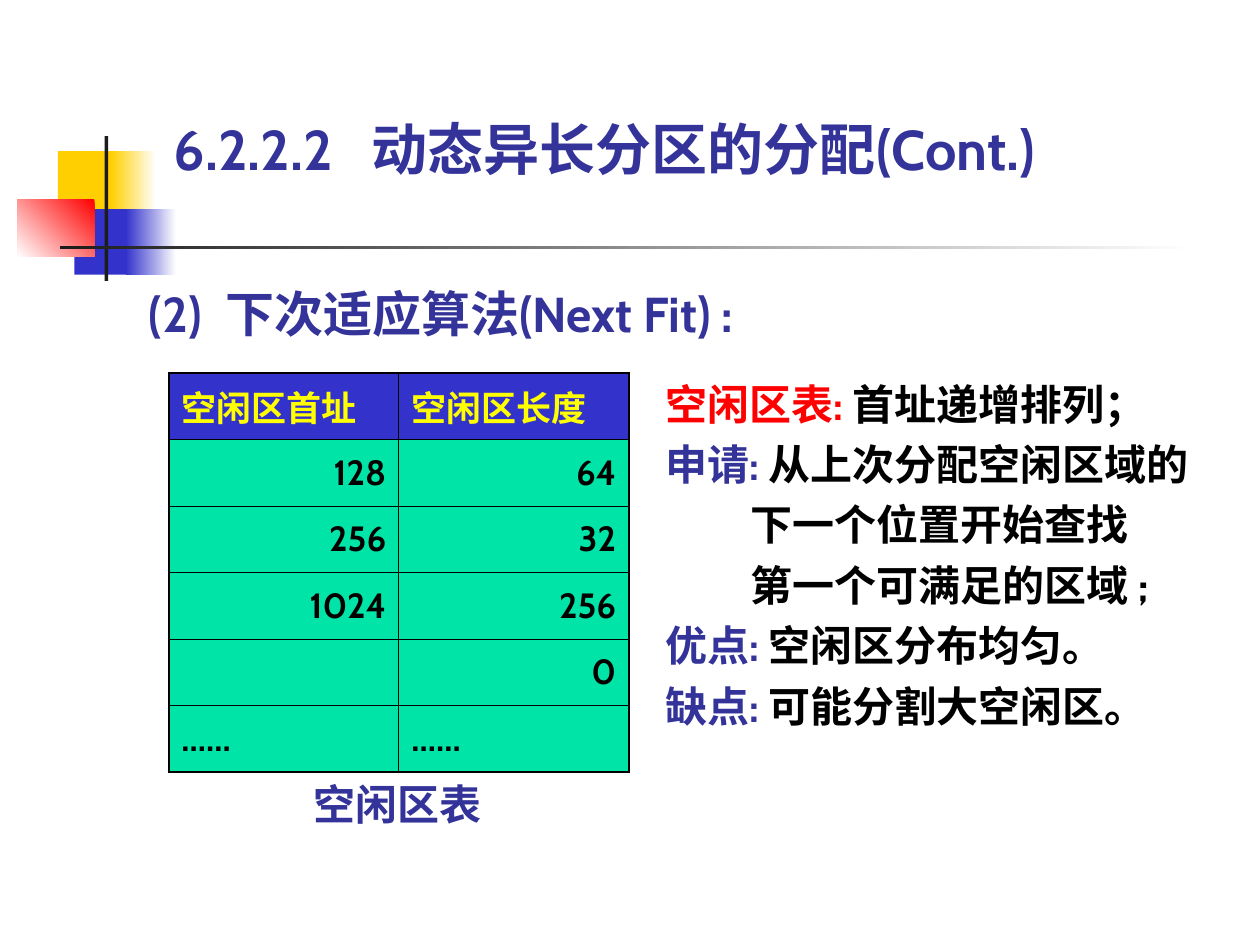
from lxml import etree
from pptx import Presentation
from pptx.dml.color import RGBColor
from pptx.enum.shapes import MSO_SHAPE as Shape
from pptx.enum.text import MSO_ANCHOR as Anchor, MSO_AUTO_SIZE as AutoSize, PP_ALIGN as Align
from pptx.oxml.ns import qn
from pptx.util import Inches, Pt

COLORS = {
    "yellow": "FFCF01", "blue": "3333CC", "red": "FF0000", "white": "FFFFFF",
    "ink": "1C1C1C", "navy": "333399", "black": "000000",
    "lemon": "FFFF00", "mint": "00E4A8",
}

deck = Presentation()
deck.slide_width, deck.slide_height = Inches(10), Inches(7.5)
page = deck.slides.add_slide(deck.slide_layouts[5])
col, row = deck.slide_width / 100, deck.slide_height / 75


def grid(left, top, width, height):
    return [int(left * col), int(top * row), int(width * col), int(height * row)]


def add_span(para, text, size, color):
    span = para.add_run()
    span.text = text
    span.font.name = "Cabin"
    span.font.size = Pt(size)
    span.font.bold = True
    span.font.color.rgb = RGBColor.from_string(COLORS[color])


ornaments = [
    ((4.6, 12, 4.8, 5.2), ["yellow"], 0),
    ((8.8, 12, 3.6, 5.2), ["white", "yellow"], 180),
    ((5.9, 16.6, 4.6, 5.2), ["blue"], 0),
    ((10, 16.6, 4, 5.2), ["white", "blue"], 180),
    ((1.4, 15.8, 6.1, 4.6), ["red", "white"], 225),
    ((8.3, 10.8, 0.3, 11.5), ["ink"], 0),
    ((4.8, 19.5, 90, 0.3), ["white", "ink"], 180),
]
for area, shades, angle in ornaments:
    block = page.shapes.add_shape(Shape.RECTANGLE, *grid(*area))
    block.shadow.inherit = False
    block.line.fill.background()
    if len(shades) == 1:
        block.fill.solid()
        block.fill.fore_color.rgb = RGBColor.from_string(COLORS[shades[0]])
    else:
        block.fill.gradient()
        block.fill.gradient_angle = angle
        for stop, shade in zip(block.fill.gradient_stops, shades):
            stop.color.rgb = RGBColor.from_string(COLORS[shade])

title = page.shapes.title
title.left, title.top, title.width, title.height = grid(13.8, 9.1, 77.2, 5.3)
heading = page.shapes.add_textbox(*grid(11.8, 22.5, 57.1, 4.7))
caption = page.shapes.add_textbox(*grid(22.1, 61.8, 18.9, 4))
notes = page.shapes.add_textbox(*grid(52.8, 29.2, 43.7, 28.8))
labels = [
    (title, "6.2.2.2\t动态异长分区的分配(Cont.)", 32, Align.LEFT, 15.7),
    (heading, "(2)\t下次适应算法(Next Fit) :", 28, Align.LEFT, 6.1),
    (caption, "空闲区表", 24, Align.CENTER, 0),
]
for box in (title, heading, caption, notes):
    frame = box.text_frame
    frame.word_wrap = True
    frame.auto_size = AutoSize.NONE
    frame.margin_left = frame.margin_right = frame.margin_top = frame.margin_bottom = 0
    frame.vertical_anchor = Anchor.TOP if box is notes else Anchor.BOTTOM

for box, text, size, align, tab in labels:
    para = box.text_frame.paragraphs[0]
    para.alignment = align
    if tab:
        tabs = etree.SubElement(para._p.get_or_add_pPr(), qn("a:tabLst"))
        etree.SubElement(tabs, qn("a:tab"), pos=str(int(tab * col)), algn="l")
    add_span(para, text, size, "navy")

cells = [
    ["空闲区首址", "空闲区长度"],
    ["128", "64"],
    ["256", "32"],
    ["1024", "256"],
    ["", "0"],
    ["……", "……"],
]
table = page.shapes.add_table(6, 2, *grid(13.4, 29.6, 36.5, 31.7)).table
for r, texts in enumerate(cells):
    for c, text in enumerate(texts):
        cell = table.cell(r, c)
        cell.vertical_anchor = Anchor.MIDDLE
        cell.fill.solid()
        cell.fill.fore_color.rgb = RGBColor.from_string(COLORS["mint" if r else "blue"])
        if text:
            para = cell.text_frame.paragraphs[0]
            para.alignment = Align.RIGHT if text.isdigit() else Align.LEFT
            add_span(para, text, 20, "black" if r else "lemon")
        outer = {"L": c == 0, "R": c == 1, "T": r == 0, "B": r == 5}
        for place, (side, thick) in enumerate(outer.items()):
            edge = etree.Element(qn(f"a:ln{side}"), w=str(Pt(1.08 if thick else 0.45)))
            paint = etree.SubElement(edge, qn("a:solidFill"))
            etree.SubElement(paint, qn("a:srgbClr"), val=COLORS["black"])
            cell._tc.get_or_add_tcPr().insert(place, edge)

remarks = [
    ("空闲区表: ", "red", "首址递增排列；"),
    ("申请: ", "navy", "从上次分配空闲区域的"),
    ("", "", "下一个位置开始查找"),
    ("", "", "第一个可满足的区域 ;"),
    ("优点: ", "navy", "空闲区分布均匀。"),
    ("缺点: ", "navy", "可能分割大空闲区。"),
]
for number, (term, color, text) in enumerate(remarks):
    frame = notes.text_frame
    para = frame.add_paragraph() if number else frame.paragraphs[0]
    para.line_spacing = 1.2
    if term:
        add_span(para, term, 24, color)
    else:
        para._p.get_or_add_pPr().set("marL", str(int(6.8 * col)))
    add_span(para, text, 24, "black")

deck.save("out.pptx")
